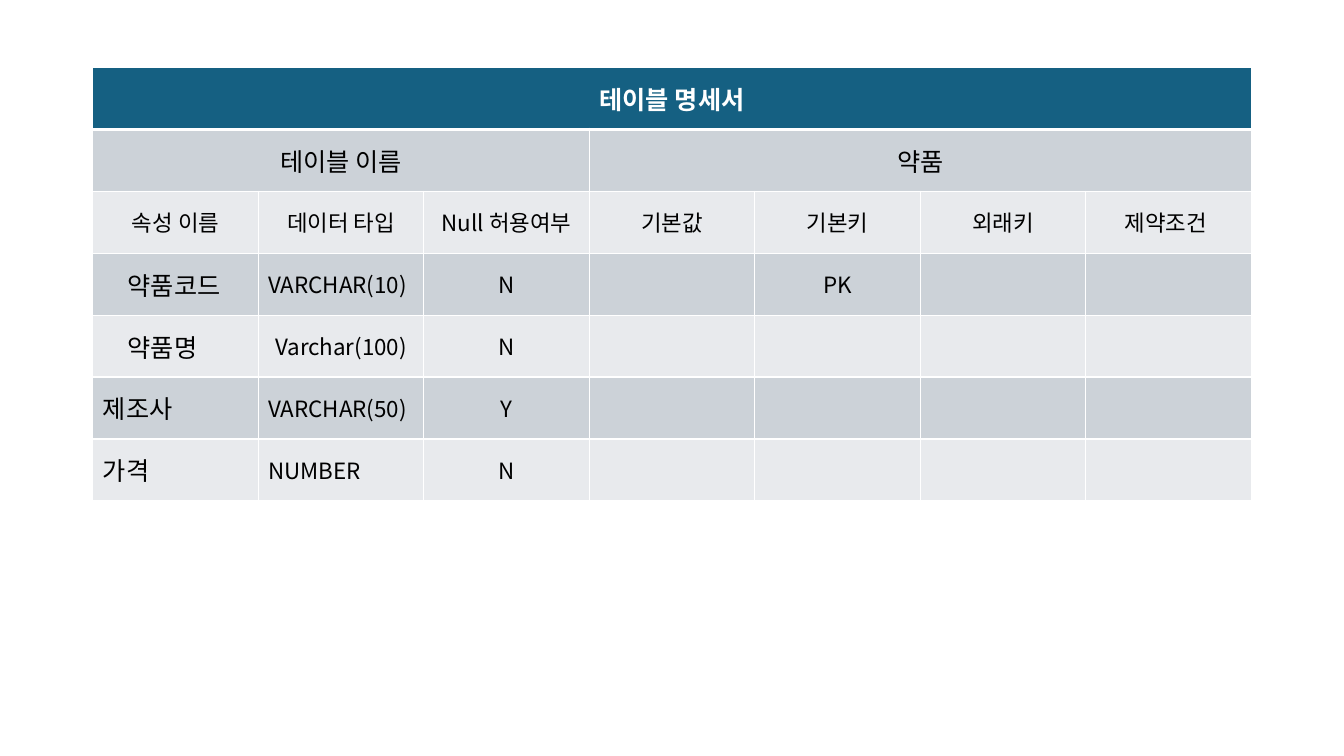
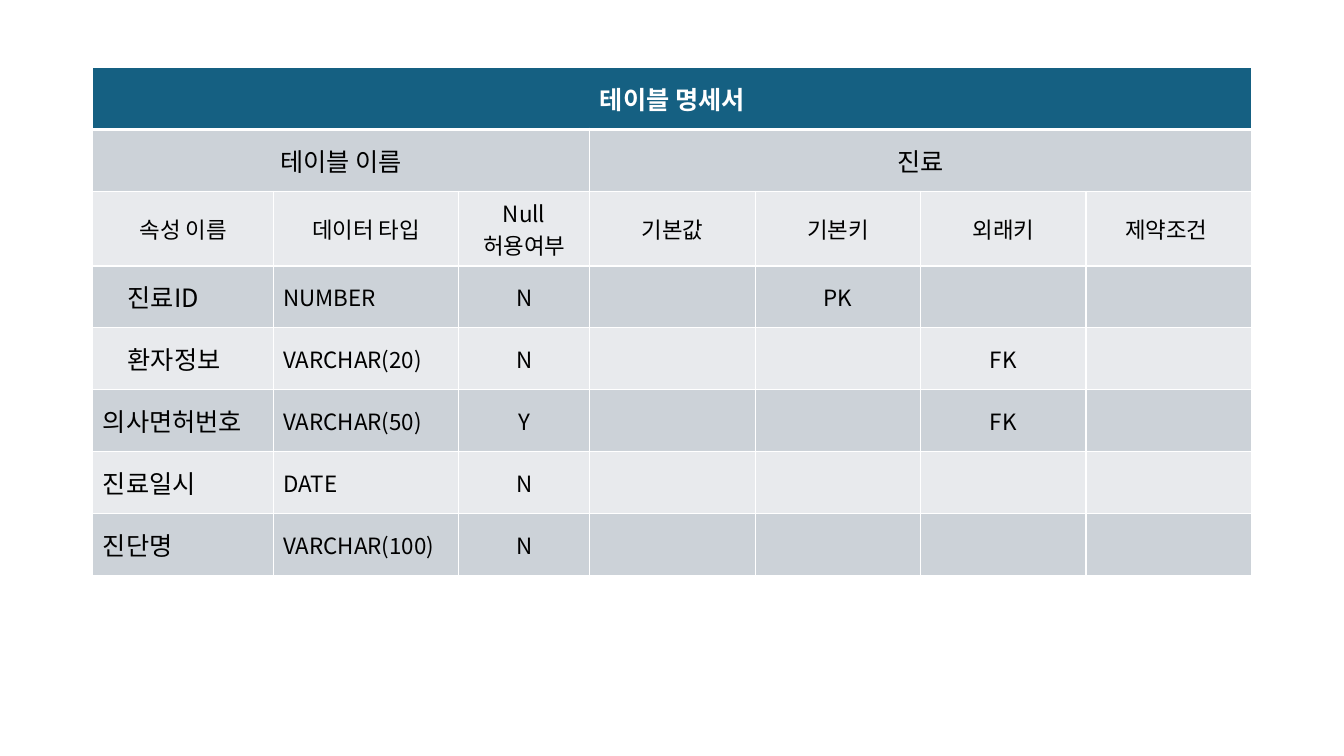
from lxml.etree import SubElement
from pptx import Presentation
from pptx.dml.color import RGBColor
from pptx.enum.text import MSO_ANCHOR, PP_ALIGN
from pptx.oxml.ns import qn
from pptx.util import Cm, Pt

COLORS = {
    "header": "156082",
    "band_dark": "CCD2D8",
    "band_light": "E8EAED",
    "white": "FFFFFF",
    "black": "000000",
}
FONT = "Noto Sans CJK KR"
LARGE, SMALL = 18, 16

HEADING = "테이블 명세서"
NAME_LABEL = "테이블 이름"
FIELDS = ["속성 이름", "데이터 타입", "Null 허용여부", "기본값", "기본키", "외래키", "제약조건 "]
NAME_SPAN = 3      # columns under NAME_LABEL
INDENTED = 2       # leading attributes set further in

# Attributes: name, data type, null allowed, default, primary key, foreign key, constraint
SPECIFICATIONS = [
    {
        "name": "약품",
        "widths": [4.17] * 7,
        "centered_types": ["Varchar(100)"],
        "attributes": [
            ("약품코드", "VARCHAR(10)", "N", "", "PK", "", ""),
            ("약품명", "Varchar(100)", "N", "", "", "", ""),
            ("제조사", "VARCHAR(50)", "Y", "", "", "", ""),
            ("가격", "NUMBER", "N", "", "", "", ""),
        ],
    },
    {
        "name": "진료",
        "widths": [4.55, 4.67, 3.3] + [4.17] * 4,
        "centered_types": [],
        "attributes": [
            ("진료ID", "NUMBER", "N", "", "PK", "", ""),
            ("환자정보", "VARCHAR(20)", "N", "", "", "FK", ""),
            ("의사면허번호", "VARCHAR(50)", "Y", "", "", "FK", ""),
            ("진료일시", "DATE", "N", "", "", "", ""),
            ("진단명", "VARCHAR(100)", "N", "", "", "", ""),
        ],
    },
]

LEFT, TOP, ROW_HEIGHT = 2.34, 1.7, 1.56
INDENT = 0.88


def rgb(color):
    return RGBColor.from_string(COLORS[color])


def add_borders(cell, row):
    """Thin white lines, with a thick one below the heading row."""
    props = cell._tc.get_or_add_tcPr()
    widths = {"L": 1, "R": 1, "T": 3 if row == 1 else 1, "B": 3 if row == 0 else 1}
    for side, width in widths.items():
        line = SubElement(props, qn(f"a:ln{side}"), w=str(Pt(width)))
        fill = SubElement(line, qn("a:solidFill"))
        SubElement(fill, qn("a:srgbClr"), val=COLORS["white"])


def write(cell, text, size, align=PP_ALIGN.CENTER, color="black", bold=False):
    paragraph = cell.text_frame.paragraphs[0]
    paragraph.alignment = align
    run = paragraph.add_run()
    run.text = text
    font = run.font
    font.size, font.bold, font.name = Pt(size), bold, FONT
    font.color.rgb = rgb(color)
    SubElement(run._r.get_or_add_rPr(), qn("a:ea"), typeface=FONT)


def style_grid(table):
    for r, row in enumerate(table.rows):
        row.height = Cm(ROW_HEIGHT)
        band = "header" if r == 0 else "band_dark" if r % 2 else "band_light"
        for cell in row.cells:
            add_borders(cell, r)
            cell.fill.solid()
            cell.fill.fore_color.rgb = rgb(band)
            cell.vertical_anchor = MSO_ANCHOR.MIDDLE


def add_specification(slide, spec):
    widths, attributes = spec["widths"], spec["attributes"]
    row_count, last = len(attributes) + 3, len(widths) - 1
    table = slide.shapes.add_table(
        row_count, len(widths), Cm(LEFT), Cm(TOP),
        Cm(sum(widths)), Cm(row_count * ROW_HEIGHT)).table
    table.first_row = table.horz_banding = False
    for column, width in zip(table.columns, widths):
        column.width = Cm(width)
    style_grid(table)

    table.cell(0, 0).merge(table.cell(0, last))
    table.cell(1, 0).merge(table.cell(1, NAME_SPAN - 1))
    table.cell(1, NAME_SPAN).merge(table.cell(1, last))
    write(table.cell(0, 0), HEADING, LARGE, color="white", bold=True)
    write(table.cell(1, 0), NAME_LABEL, LARGE)
    write(table.cell(1, NAME_SPAN), spec["name"], LARGE)
    for c, field in enumerate(FIELDS):
        write(table.cell(2, c), field, SMALL)

    for r, attribute in enumerate(attributes):
        for c, value in enumerate(attribute):
            if not value:
                continue
            centered = c > 1 or value in spec["centered_types"]
            write(table.cell(r + 3, c), value, SMALL if c else LARGE,
                  PP_ALIGN.CENTER if centered else PP_ALIGN.LEFT)
        if r < INDENTED:
            table.cell(r + 3, 0).margin_left = Cm(INDENT)


def main():
    prs = Presentation()
    prs.slide_width, prs.slide_height = Cm(33.87), Cm(19.05)
    blank = prs.slide_layouts[6]
    for spec in SPECIFICATIONS:
        add_specification(prs.slides.add_slide(blank), spec)
    prs.save("out.pptx")


if __name__ == "__main__":
    main()
